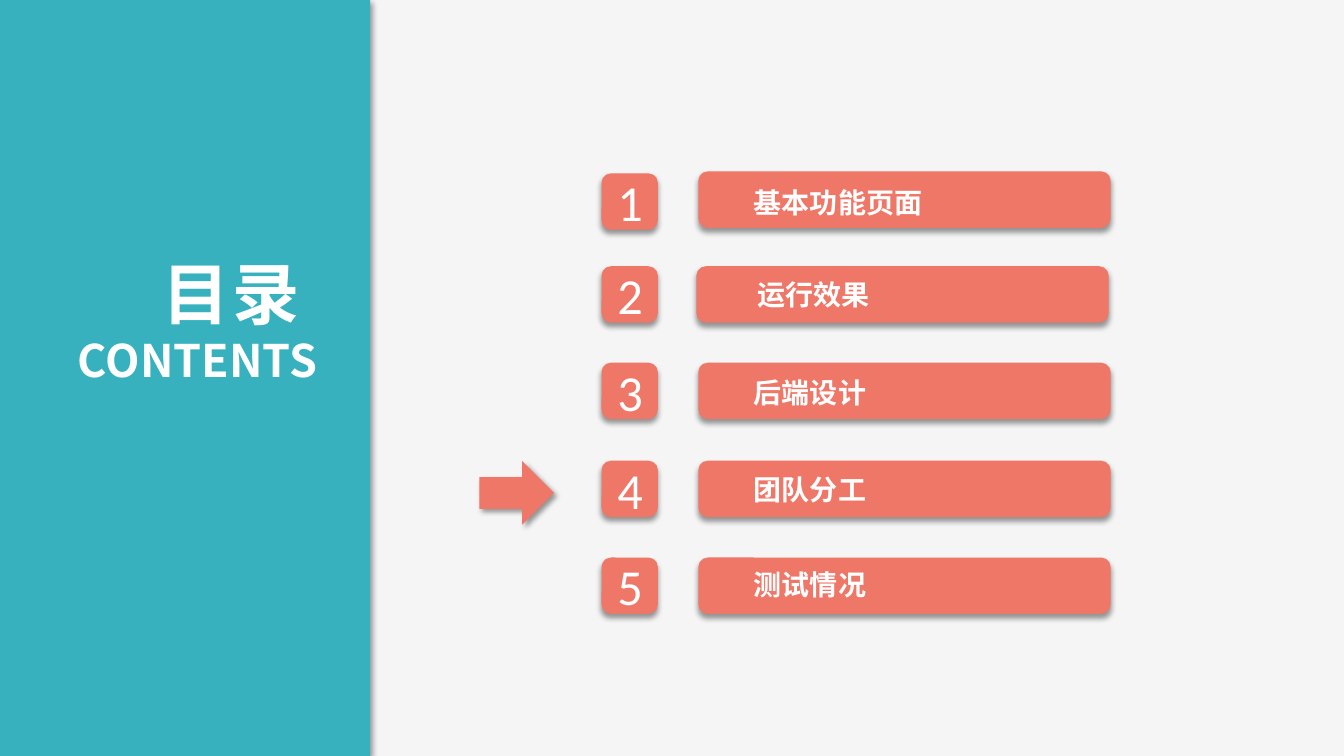
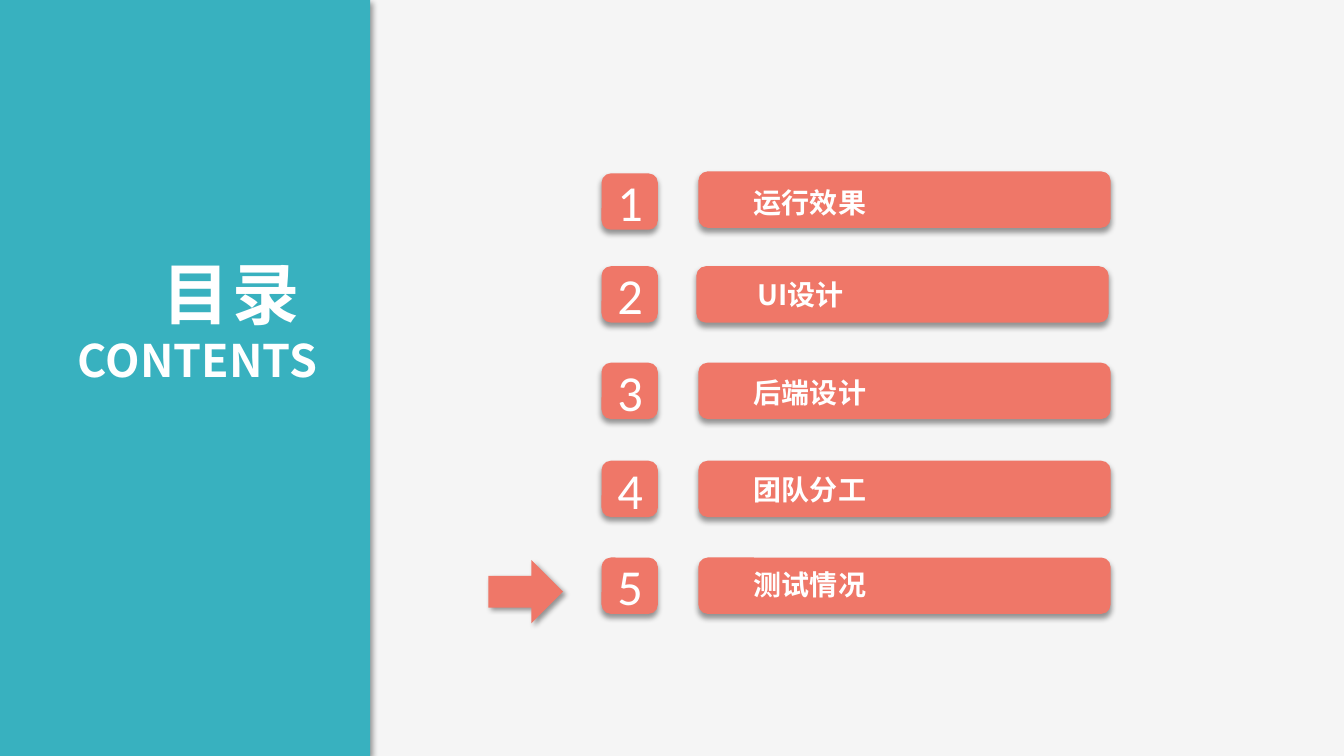
from dataclasses import dataclass

import lxml.etree
import pptx
import pptx.dml.color
import pptx.enum.shapes
import pptx.enum.text
import pptx.oxml.ns
import pptx.presentation
import pptx.shapes.autoshape
import pptx.shapes.shapetree
import pptx.slide
import pptx.text.text
import pptx.util

Cm = pptx.util.Cm
Pt = pptx.util.Pt
RGBColor = pptx.dml.color.RGBColor
PresetShape = pptx.enum.shapes.MSO_SHAPE
Alignment = pptx.enum.text.PP_ALIGN
Anchor = pptx.enum.text.MSO_ANCHOR
AutoSize = pptx.enum.text.MSO_AUTO_SIZE
qn = pptx.oxml.ns.qn


@dataclass(frozen=True)
class Theme:
    background: RGBColor = RGBColor(0xF5, 0xF5, 0xF5)
    panel: RGBColor = RGBColor(0x38, 0xB1, 0xBF)
    accent: RGBColor = RGBColor(0xEF, 0x77, 0x68)
    text: RGBColor = RGBColor(0xFF, 0xFF, 0xFF)
    heading_font: str = "Noto Sans CJK SC"
    number_font: str = "Calibri"
    title_size: int = 48
    subtitle_size: int = 32
    number_size: int = 36
    label_size: int = 20


@dataclass(frozen=True)
class Box:
    left: float
    top: float
    width: float
    height: float

    def lengths(self) -> tuple[pptx.util.Length, ...]:
        return Cm(self.left), Cm(self.top), Cm(self.width), Cm(self.height)


@dataclass(frozen=True)
class Row:
    tile_top: float
    bar_top: float
    label_top: float
    bar_left: float = 17.6
    label_left: float = 18.67


@dataclass(frozen=True)
class Agenda:
    labels: tuple[str, ...]
    arrow: Box


THEME = Theme()
SLIDE_WIDTH, SLIDE_HEIGHT = 33.87, 19.05
PANEL = Box(-0.3, 0, 9.63, SLIDE_HEIGHT)
TITLE = Box(0.53, 6.17, 7.8, 3.76)
TILE_LEFT, TILE_SIZE = 15.16, 1.42
BAR_WIDTH = 10.39
LABEL_WIDTH, LABEL_HEIGHT = 7.5, 1.19
ROWS = (
    Row(4.37, 4.32, 4.5),
    Row(6.71, 6.71, 6.81, 17.55, 18.75),
    Row(9.14, 9.14, 9.27),
    Row(11.61, 11.61, 11.73),
    Row(14.05, 14.05, 14.12),
)
AGENDAS = (
    Agenda(("基本功能页面", "运行效果", "后端设计", "团队分工", "测试情况"),
           Box(12.22, 11.48, 1.6, 1.88)),
    Agenda(("运行效果", "UI设计", "后端设计", "团队分工", "测试情况"),
           Box(12.45, 13.97, 1.6, 1.88)),
)


def add_shadow(shape: pptx.shapes.autoshape.Shape, angle: int) -> None:
    shape.shadow.inherit = False
    effects = shape._element.spPr.find(qn("a:effectLst"))
    shadow = lxml.etree.SubElement(
        effects, qn("a:outerShdw"), blurRad=str(Pt(4)), dist=str(Pt(3)),
        dir=str(angle * 60000), algn="t", rotWithShape="0")
    color = lxml.etree.SubElement(shadow, qn("a:srgbClr"), val="000000")
    lxml.etree.SubElement(color, qn("a:alpha"), val="40000")


def add_block(shapes: pptx.shapes.shapetree._BaseGroupShapes, preset: PresetShape,
              box: Box, color: RGBColor, shadow_angle: int) -> pptx.shapes.autoshape.Shape:
    shape = shapes.add_shape(preset, *box.lengths())
    shape.fill.solid()
    shape.fill.fore_color.rgb = color
    shape.line.fill.background()
    add_shadow(shape, shadow_angle)
    return shape


def set_frame(frame: pptx.text.text.TextFrame, anchor: Anchor, auto_size: AutoSize) -> None:
    frame.word_wrap = True
    frame.auto_size = auto_size
    frame.vertical_anchor = anchor
    frame.margin_left = frame.margin_right = Cm(0.33)
    frame.margin_top = frame.margin_bottom = Cm(0.18)


def format_paragraph(paragraph: pptx.text.text._Paragraph, size: int, font_name: str,
                     alignment: Alignment, bold: bool = True, spacing: int = 0) -> None:
    paragraph.alignment = alignment
    for run in paragraph.runs:
        run.font.size = Pt(size)
        run.font.bold = bold
        run.font.color.rgb = THEME.text
        run.font.name = font_name
        properties = run._r.get_or_add_rPr()
        properties.set("spc", str(spacing * 100))
        east_asian = lxml.etree.Element(qn("a:ea"), typeface=font_name)
        properties.find(qn("a:latin")).addnext(east_asian)


def add_row(slide: pptx.slide.Slide, row: Row, number: int, label: str) -> None:
    tile = add_block(slide.shapes, PresetShape.ROUNDED_RECTANGLE,
                     Box(TILE_LEFT, row.tile_top, TILE_SIZE, TILE_SIZE), THEME.accent, 90)
    set_frame(tile.text_frame, Anchor.MIDDLE, AutoSize.NONE)
    tile.text_frame.text = str(number)
    format_paragraph(tile.text_frame.paragraphs[0], THEME.number_size,
                     THEME.number_font, Alignment.CENTER, bold=False)

    group = slide.shapes.add_group_shape()
    add_block(group.shapes, PresetShape.ROUNDED_RECTANGLE,
              Box(row.bar_left, row.bar_top, BAR_WIDTH, TILE_SIZE), THEME.accent, 90)
    label_box = Box(row.label_left, row.label_top, LABEL_WIDTH, LABEL_HEIGHT)
    frame = group.shapes.add_textbox(*label_box.lengths()).text_frame
    set_frame(frame, Anchor.TOP, AutoSize.SHAPE_TO_FIT_TEXT)
    frame.text = label
    format_paragraph(frame.paragraphs[0], THEME.label_size, THEME.heading_font, Alignment.LEFT)


def add_title_panel(slide: pptx.slide.Slide) -> None:
    panel = add_block(slide.shapes, PresetShape.RECTANGLE, PANEL, THEME.panel, 45)
    title = slide.shapes.title
    panel._element.addnext(title._element)
    title.left, title.top, title.width, title.height = TITLE.lengths()
    frame = title.text_frame
    set_frame(frame, Anchor.TOP, AutoSize.SHAPE_TO_FIT_TEXT)
    frame.text = "目录 \nCONTENTS"
    heading, subtitle = frame.paragraphs
    format_paragraph(heading, THEME.title_size, THEME.heading_font, Alignment.RIGHT, spacing=2)
    format_paragraph(subtitle, THEME.subtitle_size, THEME.heading_font, Alignment.RIGHT)


def add_agenda(presentation: pptx.presentation.Presentation, agenda: Agenda) -> None:
    slide = presentation.slides.add_slide(presentation.slide_layouts.get_by_name("Title Only"))
    for number, (row, label) in enumerate(zip(ROWS, agenda.labels), start=1):
        add_row(slide, row, number, label)
    add_title_panel(slide)
    arrow = add_block(slide.shapes, PresetShape.DOWN_ARROW, agenda.arrow, THEME.accent, 45)
    arrow.rotation = 270


def main() -> None:
    presentation = pptx.Presentation()
    presentation.slide_width = Cm(SLIDE_WIDTH)
    presentation.slide_height = Cm(SLIDE_HEIGHT)
    background = presentation.slide_master.background.fill
    background.solid()
    background.fore_color.rgb = THEME.background
    for agenda in AGENDAS:
        add_agenda(presentation, agenda)
    presentation.save("out.pptx")


if __name__ == "__main__":
    main()
